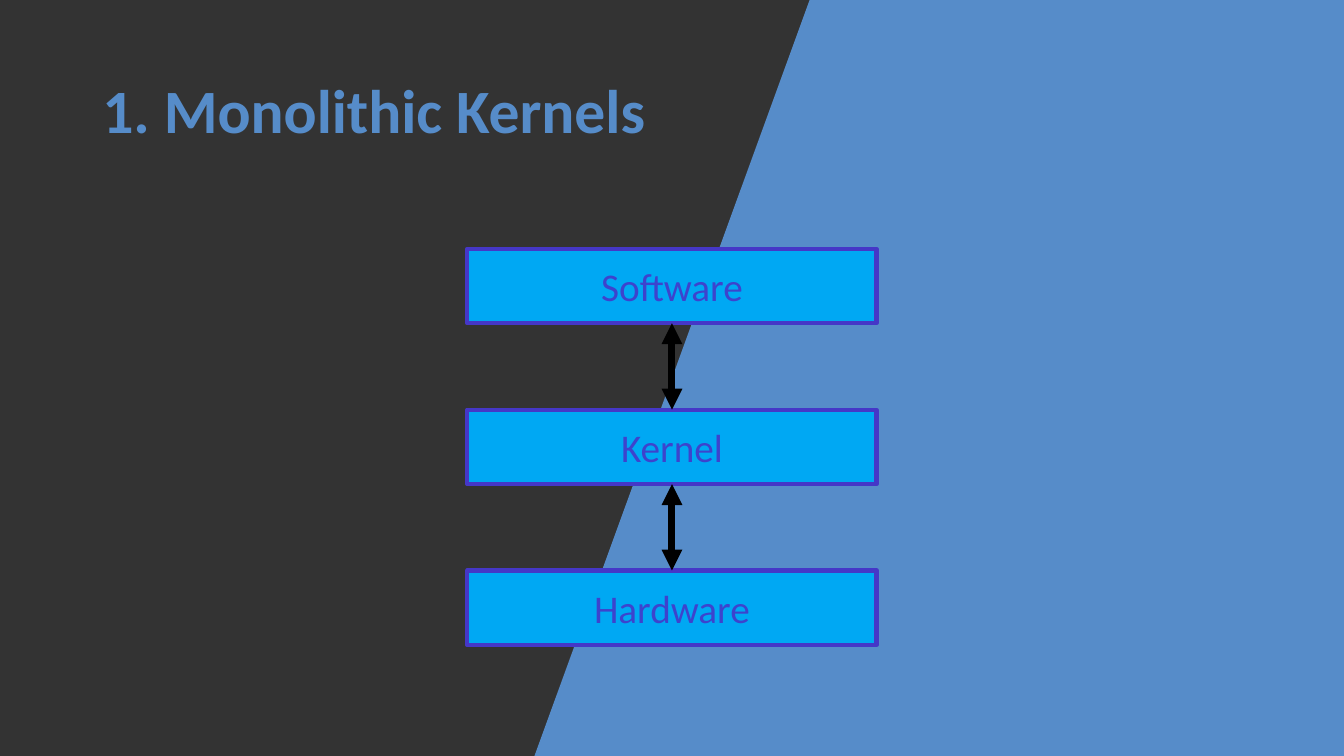
from lxml import etree
from pptx import Presentation
from pptx.dml.color import RGBColor
from pptx.enum.shapes import MSO_CONNECTOR, MSO_SHAPE
from pptx.enum.text import MSO_ANCHOR, PP_ALIGN
from pptx.oxml.ns import qn
from pptx.util import Pt

RECT = MSO_SHAPE.RECTANGLE
STRAIGHT = MSO_CONNECTOR.STRAIGHT
MIDDLE = MSO_ANCHOR.MIDDLE
CENTER = PP_ALIGN.CENTER

DARK = RGBColor(0x33, 0x33, 0x33)
BLUE = RGBColor(0x56, 0x8C, 0xC9)
SKY = RGBColor(0x00, 0xA8, 0xF3)
EDGE = RGBColor(0x45, 0x37, 0xC7)
INK = RGBColor(0x3D, 0x43, 0xCD)
BLACK = RGBColor(0, 0, 0)

WIDTH, HEIGHT = 960, 540
BOX_W, BOX_H = 292.3, 53.2
TOP, STEP = 177.7, 114.9
BOTTOM_SIDE, TOP_SIDE = 2, 0
LAYERS = ["Software", "Kernel", "Hardware"]


def set_back(slide):
    """Split the background with a hard-edged gradient."""
    fill = slide.background.fill
    fill.gradient()
    fill.gradient_angle = 340
    for stop, color in zip(fill.gradient_stops, (DARK, BLUE)):
        stop.position = 0.5
        stop.color.rgb = color


def set_text(shape, text, size, color, bold=False):
    frame = shape.text_frame
    frame.text = text
    frame.word_wrap = True
    frame.vertical_anchor = MIDDLE
    font = frame.paragraphs[0].runs[0].font
    font.name = "Calibri"
    font.size = Pt(size)
    font.bold = bold
    font.color.rgb = color
    return frame.paragraphs[0]


def add_title(slide, text):
    box = slide.shapes.add_textbox(Pt(66), Pt(28.75), Pt(828), Pt(104.4))
    set_text(box, text, 44, BLUE, bold=True).line_spacing = 0.9


def add_layer(slide, text, top):
    left = (WIDTH - BOX_W) / 2
    box = slide.shapes.add_shape(RECT, Pt(left), Pt(top), Pt(BOX_W), Pt(BOX_H))
    box.shadow.inherit = False
    box.fill.solid()
    box.fill.fore_color.rgb = SKY
    box.line.color.rgb = EDGE
    box.line.width = Pt(3)
    set_text(box, text, 28, INK).alignment = CENTER
    return box


def add_arrow(slide, upper, lower):
    """Join two layers with a double-headed arrow."""
    arrow = slide.shapes.add_connector(STRAIGHT, 0, 0, 0, 0)
    arrow.begin_connect(upper, BOTTOM_SIDE)
    arrow.end_connect(lower, TOP_SIDE)
    arrow.line.color.rgb = BLACK
    arrow.line.width = Pt(5)
    line = arrow.line._get_or_add_ln()
    for end in ("a:headEnd", "a:tailEnd"):
        etree.SubElement(line, qn(end), type="triangle")
    etree.SubElement(arrow._element.spPr, qn("a:effectLst"))


def main():
    deck = Presentation()
    deck.slide_width, deck.slide_height = Pt(WIDTH), Pt(HEIGHT)
    slide = deck.slides.add_slide(deck.slide_layouts[6])

    # Background and title
    set_back(slide)
    add_title(slide, "1. Monolithic Kernels")

    # Stack of layers
    boxes = [add_layer(slide, name, TOP + i * STEP)
             for i, name in enumerate(LAYERS)]

    # Arrows between neighbours
    for upper, lower in zip(boxes, boxes[1:]):
        add_arrow(slide, upper, lower)

    deck.save("out.pptx")


if __name__ == "__main__":
    main()
